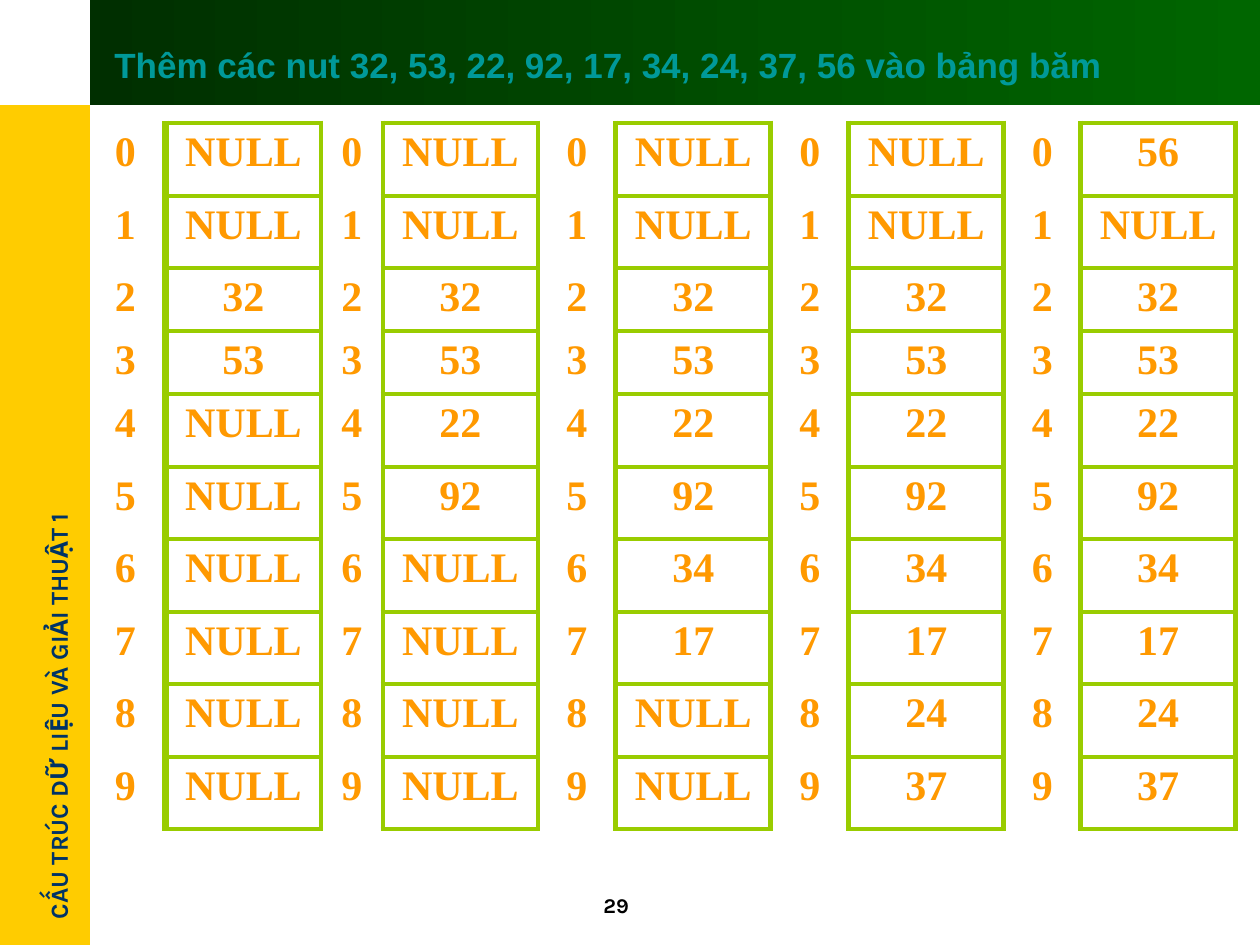
import lxml.etree
import pptx
import pptx.dml.color
import pptx.enum.shapes
import pptx.enum.text
import pptx.oxml.ns
import pptx.util

SCALE = 914400 / 126
COLORS = {
    "gold": "FFCC00", "navy": "003366", "dark": "002F00", "green": "006600",
    "teal": "009999", "black": "000000", "lime": "99CC00", "orange": "FF9900",
}
STEPS = [{2: 32, 3: 53}, {4: 22, 5: 92}, {6: 34, 7: 17}, {8: 24, 9: 37}, {0: 56}]
SLOTS = 10
WIDTHS = [81, 155, 62, 155, 78, 155, 78, 155, 77, 155]
HEIGHTS = [73, 72, 63, 63, 73, 72, 73, 72, 73, 72]
PLAIN = "{2D5ABB26-0587-4C30-8999-92F81FD0307C}"


def px(num):
    return pptx.util.Emu(round(num * SCALE))


def color(name):
    return pptx.dml.color.RGBColor.from_string(COLORS[name])


def style(frame, size, face, tint):
    for run in frame.paragraphs[0].runs:
        run.font.size = pptx.util.Pt(size)
        run.font.name = face
        run.font.bold = True
        run.font.color.rgb = color(tint)


def add_text(slide, box, text, size, face, tint):
    shape = slide.shapes.add_textbox(*map(px, box))
    frame = shape.text_frame
    frame.word_wrap = True
    frame.vertical_anchor = pptx.enum.text.MSO_ANCHOR.MIDDLE
    frame.text = text
    style(frame, size, face, tint)
    return shape


def add_rect(slide, box):
    kind = pptx.enum.shapes.MSO_SHAPE.RECTANGLE
    shape = slide.shapes.add_shape(kind, *map(px, box))
    shape.shadow.inherit = False
    shape.line.fill.background()
    return shape


def add_side(slide, box):
    left, top, width, height = box
    bar = add_rect(slide, box)
    bar.fill.solid()
    bar.fill.fore_color.rgb = color("gold")
    label = (left - 179, top + 568, 474, 43)
    text = add_text(slide, label, "CẤU TRÚC DỮ LIỆU VÀ GIẢI THUẬT 1", 14, "Karla", "navy")
    text.rotation = 270


def add_head(slide, box):
    left, top, width, height = box
    band = add_rect(slide, box)
    band.fill.gradient()
    band.fill.gradient_angle = 0
    for stop, name in zip(band.fill.gradient_stops, ("dark", "green")):
        stop.color.rgb = color(name)
    title = "Thêm các nut 32, 53, 22, 92, 17, 34, 24, 37, 56 vào bảng băm"
    add_text(slide, (left + 12, top + 2, width - 12, 125), title, 20, "Arial", "teal")


def add_edge(cell, side, points):
    props = cell._tc.get_or_add_tcPr()
    tag = pptx.oxml.ns.qn
    line = lxml.etree.SubElement(props, tag(f"a:ln{side}"), w=str(pptx.util.Pt(points)))
    fill = lxml.etree.SubElement(line, tag("a:solidFill"))
    lxml.etree.SubElement(fill, tag("a:srgbClr"), val=COLORS["lime"])


def fill_cell(cell, text, col):
    boxed = col % 2 == 1
    if col > 0:
        add_edge(cell, "L", 4.5 if col == 1 else 3)
    add_edge(cell, "R", 4.5 if col == 0 else 3)
    if boxed:
        add_edge(cell, "T", 3)
        add_edge(cell, "B", 3)
    cell.fill.background()
    cell.text_frame.text = text
    cell.text_frame.paragraphs[0].alignment = pptx.enum.text.PP_ALIGN.CENTER
    style(cell.text_frame, 24, "Times New Roman", "orange")


def add_hash(slide, box):
    frame = slide.shapes.add_table(SLOTS, 2 * len(STEPS), *map(px, box))
    table = frame.table
    table.first_row = False
    table.horz_banding = False
    table._tbl.tblPr.find(pptx.oxml.ns.qn("a:tableStyleId")).text = PLAIN
    for col, width in zip(table.columns, WIDTHS):
        col.width = px(width)
    for row, height in zip(table.rows, HEIGHTS):
        row.height = px(height)
    state = {}
    for step, added in enumerate(STEPS):
        state.update(added)
        for slot in range(SLOTS):
            fill_cell(table.cell(slot, 2 * step), str(slot), 2 * step)
            value = str(state.get(slot, "NULL"))
            fill_cell(table.cell(slot, 2 * step + 1), value, 2 * step + 1)


def main():
    deck = pptx.Presentation()
    deck.slide_width = px(1260)
    deck.slide_height = px(945)
    slide = deck.slides.add_slide(deck.slide_layouts[6])
    add_side(slide, (0, 105, 90, 840))
    add_head(slide, (90, 0, 1170, 105))
    add_text(slide, (591, 886, 97, 38), "29", 12, "Karla", "black")
    add_hash(slide, (85, 123, sum(WIDTHS), sum(HEIGHTS)))
    deck.save("out.pptx")


if __name__ == "__main__":
    main()
